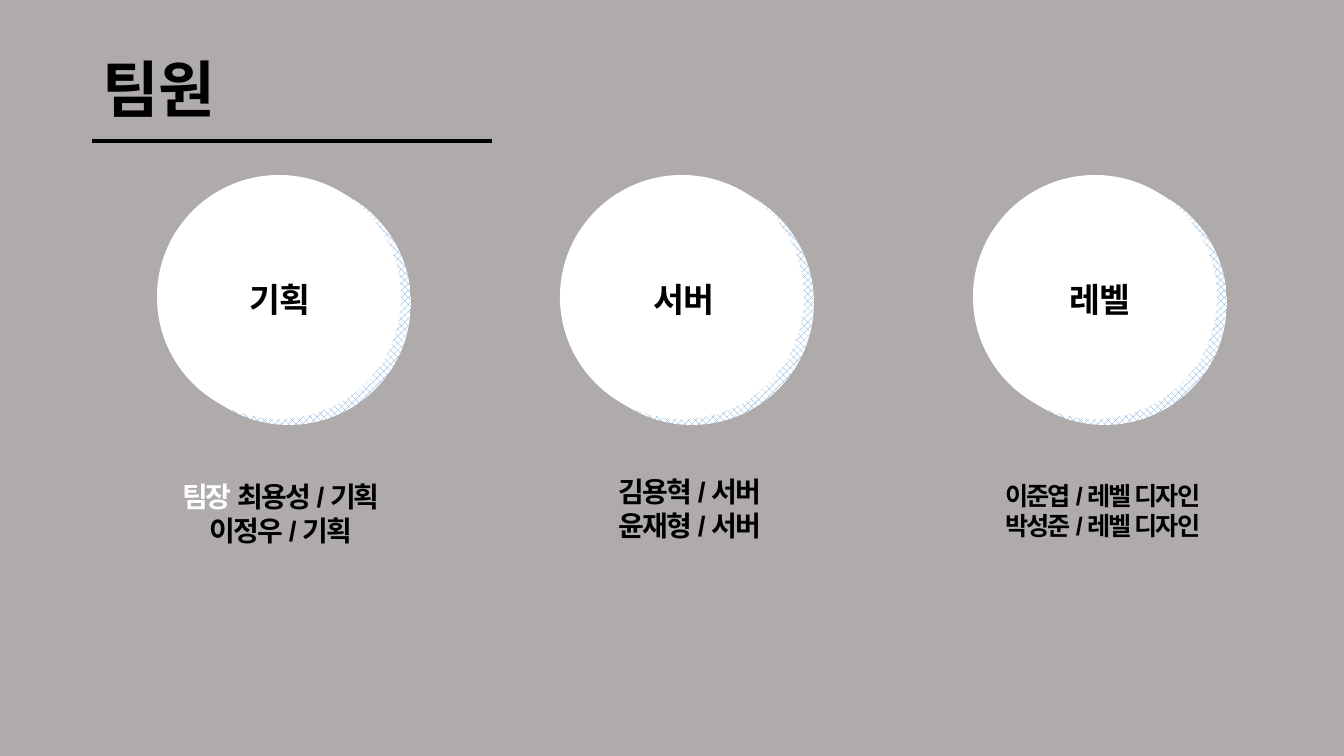
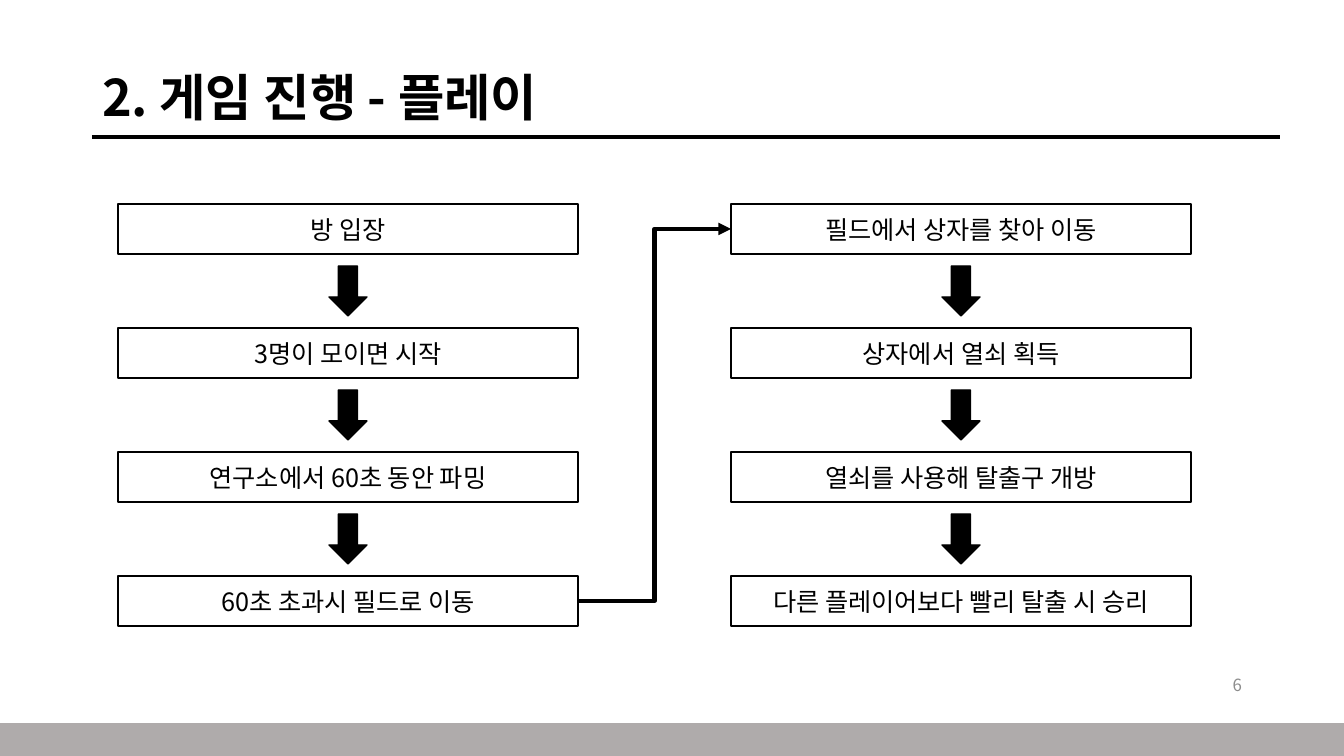
from dataclasses import dataclass
from itertools import pairwise

from lxml.etree import SubElement
from pptx import Presentation
from pptx.dml.color import RGBColor as RGB
from pptx.enum.dml import MSO_PATTERN as Pattern
from pptx.enum.shapes import MSO_CONNECTOR as Link, MSO_SHAPE as Shape
from pptx.enum.text import MSO_ANCHOR as Anchor, MSO_AUTO_SIZE as Fit, PP_ALIGN as Align
from pptx.oxml.ns import qn
from pptx.util import Emu, Pt

WIDE, HIGH = 1344, 756
SCALE = 12192000 / WIDE


@dataclass(frozen=True)
class Theme:
    sans: str = "Noto Sans CJK KR"
    latin: str = "Arial"
    ink: RGB = RGB(0, 0, 0)
    paper: RGB = RGB(255, 255, 255)
    band: RGB = RGB(0xAF, 0xAB, 0xAB)
    hatch: RGB = RGB(0x5B, 0x9B, 0xD5)
    faint: RGB = RGB(0x8C, 0x8C, 0x8C)
    hero: int = 44
    title: int = 36
    label: int = 24
    names: int = 20
    body: int = 18
    small: int = 12


THEME = Theme()


def px(*nums):
    return [Emu(round(n * SCALE)) for n in nums]


def style(para, size, color=THEME.ink, face=THEME.sans, bold=False,
          align=Align.CENTER, track=0):
    """Format a whole paragraph; track is letter spacing in points."""
    para.alignment = align
    font = para.font
    font.size, font.bold, font.name = Pt(size), bold, face
    font.color.rgb = color
    props = para._p.get_or_add_pPr().get_or_add_defRPr()
    SubElement(props, qn("a:ea"), typeface=face)
    if track:
        props.set("spc", str(round(track * 100)))


def add_text(slide, box, lines, size, anchor=Anchor.TOP, **look):
    frame = slide.shapes.add_textbox(*px(*box)).text_frame
    frame.word_wrap = True
    frame.vertical_anchor = anchor
    frame.text = "\n".join(lines)
    for para in frame.paragraphs:
        style(para, size, **look)
    return frame


def add_shape(slide, kind, box, fill, line=None):
    shape = slide.shapes.add_shape(kind, *px(*box))
    shape.shadow.inherit = False
    shape.fill.solid()
    shape.fill.fore_color.rgb = fill
    if line is None:
        shape.line.fill.background()
    else:
        shape.line.color.rgb = line
        shape.line.width = Pt(1)
    return shape


def add_line(slide, kind, ends, width):
    line = slide.shapes.add_connector(kind, *px(*ends))
    line.line.color.rgb = THEME.ink
    line.line.width = Pt(width)
    SubElement(line._element.spPr, qn("a:effectLst"))
    return line


def add_page(deck, color):
    slide = deck.slides.add_slide(deck.slide_layouts[5])
    slide.background.fill.solid()
    slide.background.fill.fore_color.rgb = color
    return slide


def add_title(slide, box, text, size, rule):
    """Fill the title and underline it; rule is (length, top)."""
    title = slide.shapes.title
    title.left, title.top, title.width, title.height = px(*box)
    frame = title.text_frame
    frame.text = text
    frame.auto_size = Fit.NONE
    frame.vertical_anchor = Anchor.MIDDLE
    para = frame.paragraphs[0]
    para.line_spacing = 0.9
    style(para, size, bold=True, align=Align.LEFT)
    left, (length, top) = box[0], rule
    add_line(slide, Link.STRAIGHT, (left, top, left + length, top), 2.25)


def add_team(slide, box, name, nudge):
    """Draw a disc over its hatched shade; nudge shifts the label."""
    left, top, wide, high = box
    shade = add_shape(slide, Shape.OVAL, (left + 10, top + 6, wide, high), THEME.paper)
    shade.fill.patterned()
    shade.fill.pattern = Pattern.PERCENT_50
    shade.fill.fore_color.rgb = THEME.hatch
    shade.fill.back_color.rgb = THEME.paper
    add_shape(slide, Shape.OVAL, box, THEME.paper)
    frame = add_text(slide, (left + nudge, top + 94, wide, 61), [name],
                     THEME.label, bold=True)
    frame.margin_top = frame.margin_bottom = px(10)[0]


def add_names(slide, box, lines, size, lead=""):
    """List members; lead is a white role before the first one."""
    frame = add_text(slide, box, lines, size, face=THEME.latin, bold=True, track=-1.5)
    if lead:
        para = frame.paragraphs[0]
        role = para.runs[0]
        rest = para.add_run()
        rest.text = role.text
        role.text = lead
        role.font.color.rgb = THEME.paper


def add_flow(slide, box, steps):
    """Stack the steps down the box with an arrow in every gap."""
    left, top, wide, high = box
    tall = 50
    pitch = (high - tall) // (len(steps) - 1)
    cards = []
    for row, step in enumerate(steps):
        card = add_shape(slide, Shape.RECTANGLE, (left, top + row * pitch, wide, tall),
                         THEME.paper, THEME.ink)
        card.text_frame.text = step
        style(card.text_frame.paragraphs[0], THEME.body)
        cards.append(card)
    for row, _ in enumerate(pairwise(cards)):
        add_shape(slide, Shape.DOWN_ARROW,
                  (left + wide // 2 - 19, top + row * pitch + 62, 38, tall),
                  THEME.ink, THEME.ink)
    return cards


def join(slide, start, end):
    link = add_line(slide, Link.ELBOW, (0, 0, 0, 0), 3)
    link.begin_connect(start, 3)
    link.end_connect(end, 1)
    SubElement(link.line._get_or_add_ln(), qn("a:tailEnd"), type="triangle")


def add_foot(slide, box, number):
    left, top, wide, high = box
    add_text(slide, (left + wide - 394, top - 59, 302, 40), [number], THEME.small,
             Anchor.MIDDLE, color=THEME.faint, align=Align.RIGHT)
    add_shape(slide, Shape.RECTANGLE, box, THEME.band, THEME.band)


def team_page(deck):
    slide = add_page(deck, THEME.band)
    add_title(slide, (92, 20, 1159, 146), "팀원", THEME.hero, (400, 141))
    disc, span = 244, 330
    teams = [
        (157, "기획", 1, 2, 475, THEME.names,
         [" 최용성 / 기획", "이정우 / 기획"], "팀장"),
        (560, "서버", 2, 8, 470, THEME.names,
         ["김용혁 / 서버", "윤재형 / 서버"], ""),
        (973, "레벨", 5, 8, 475, THEME.body,
         ["이준엽 / 레벨 디자인", "박성준 / 레벨 디자인"], ""),
    ]
    for left, name, nudge, shift, top, size, lines, lead in teams:
        add_team(slide, (left, 175, disc, disc), name, nudge)
        start = left + shift - (span - disc) // 2
        add_names(slide, (start, top, span, 78), lines, size, lead)


def play_page(deck):
    slide = add_page(deck, THEME.paper)
    add_title(slide, (92, 64, 1159, 73), "2. 게임 진행 - 플레이", THEME.title, (1188, 137))
    flows = [
        ["방 입장", "3명이 모이면 시작", "연구소에서 60초 동안 파밍",
         "60초 초과시 필드로 이동"],
        ["필드에서 상자를 찾아 이동", "상자에서 열쇠 획득",
         "열쇠를 사용해 탈출구 개방", "다른 플레이어보다 빨리 탈출 시 승리"],
    ]
    first, second = [add_flow(slide, (118 + col * 613, 204, 460, 422), steps)
                     for col, steps in enumerate(flows)]
    join(slide, first[-1], second[0])
    add_foot(slide, (0, 724, WIDE, HIGH - 724), "6")


def main():
    deck = Presentation()
    deck.slide_width, deck.slide_height = px(WIDE, HIGH)
    team_page(deck)
    play_page(deck)
    deck.save("out.pptx")


if __name__ == "__main__":
    main()
